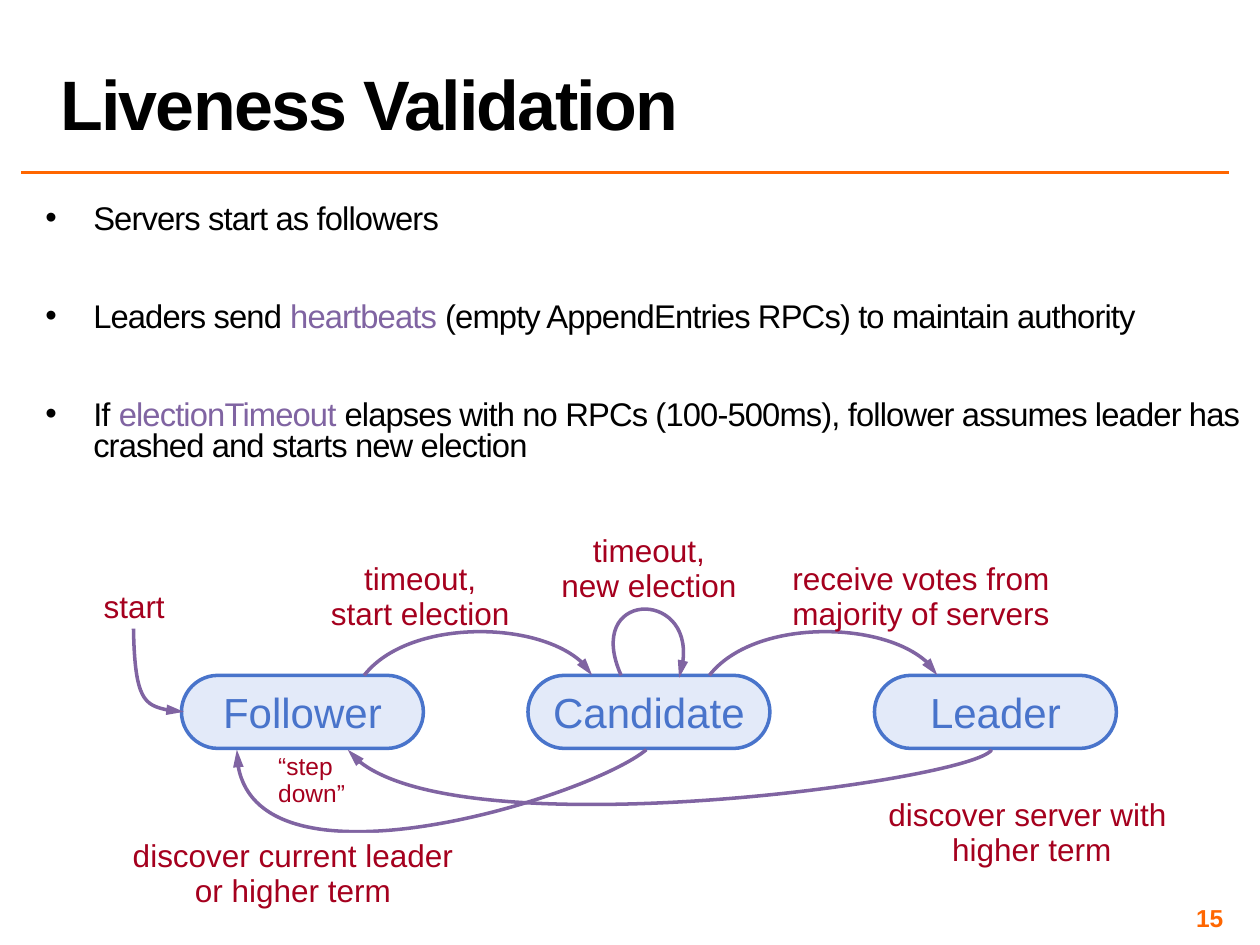
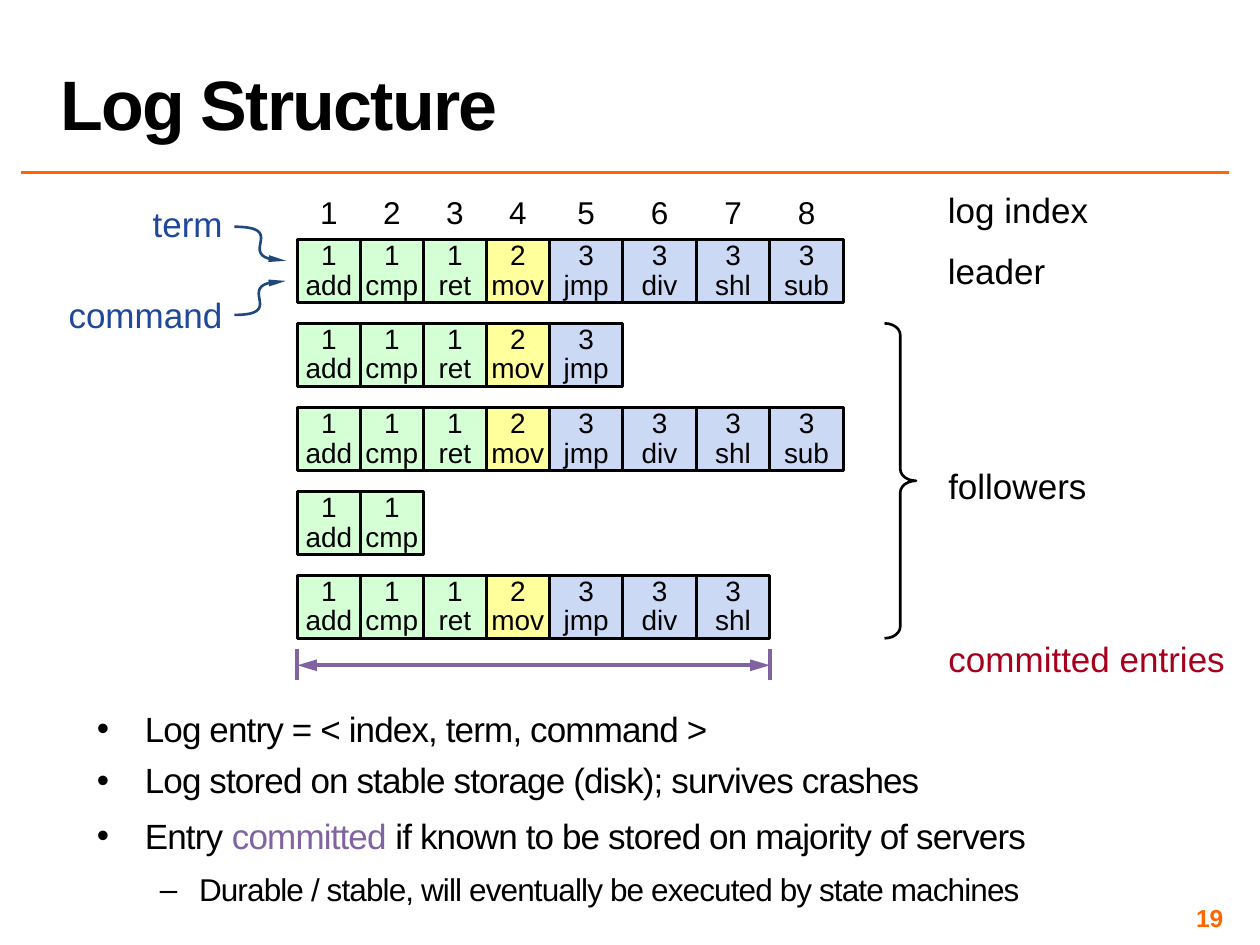
from itertools import accumulate

from lxml import etree
from pptx import Presentation
from pptx.dml.color import RGBColor
from pptx.enum.shapes import MSO_CONNECTOR, MSO_SHAPE
from pptx.enum.text import MSO_ANCHOR, MSO_AUTO_SIZE, PP_ALIGN
from pptx.oxml.ns import qn
from pptx.util import Inches, Pt

LEFT, CENTER, RIGHT = PP_ALIGN.LEFT, PP_ALIGN.CENTER, PP_ALIGN.RIGHT
MIDDLE, BOTTOM = MSO_ANCHOR.MIDDLE, MSO_ANCHOR.BOTTOM
FIT_TEXT = MSO_AUTO_SIZE.SHAPE_TO_FIT_TEXT
STRAIGHT = MSO_CONNECTOR.STRAIGHT
RECTANGLE = MSO_SHAPE.RECTANGLE
ROUNDED = MSO_SHAPE.ROUNDED_RECTANGLE
RIGHT_BRACE = MSO_SHAPE.RIGHT_BRACE

FONT = "Arial"
BLACK = RGBColor(0x00, 0x00, 0x00)
WHITE = RGBColor(0xFF, 0xFF, 0xFF)
ORANGE = RGBColor(0xFF, 0x66, 0x00)
PURPLE = RGBColor(0x80, 0x64, 0xA2)
CRIMSON = RGBColor(0xA5, 0x00, 0x1E)
STATE_BLUE = RGBColor(0x49, 0x74, 0xCB)
STATE_FILL = RGBColor(0xE3, 0xEA, 0xF9)
KEY_BLUE = RGBColor(0x1F, 0x48, 0x99)
KEY_ARROW = RGBColor(0x1F, 0x49, 0x7D)
TERM_FILLS = {
    1: RGBColor(0xD5, 0xFF, 0xD5),
    2: RGBColor(0xFF, 0xFF, 0x9B),
    3: RGBColor(0xCC, 0xD9, 0xF4),
}

STATE_WIDTH, STATE_HEIGHT, STATE_PITCH = 1.92, 0.58, 2.75
ENTRIES = [(1, "add"), (1, "cmp"), (1, "ret"), (2, "mov"),
           (3, "jmp"), (3, "div"), (3, "shl"), (3, "sub")]
ENTRY_WIDTHS = {1: 1 / 2, 2: 1 / 2, 3: 7 / 12}
LOG_LENGTHS = [8, 5, 8, 2, 7]
COMMITTED = 7
ENTRY_HEIGHT, LOG_PITCH = 0.5, 2 / 3


def format_run(run, size, color, bold=False, tracking=0):
    font = run.font
    font.name, font.size, font.bold = FONT, Pt(size), bold
    font.color.rgb = color
    if tracking:
        run._r.get_or_add_rPr().set("spc", str(int(tracking * 100)))


def set_insets(frame, inset):
    frame.margin_left = frame.margin_right = Inches(inset)
    frame.margin_top = frame.margin_bottom = Inches(inset)


def write(shape, text, size, color, align=CENTER, spacing=None, inset=None,
          anchor=None, **run_style):
    """Fill a shape with one paragraph; a newline becomes a line break."""
    frame = shape.text_frame
    if inset is not None:
        set_insets(frame, inset)
    if anchor is not None:
        frame.vertical_anchor = anchor
    para = frame.paragraphs[0]
    para.text = text
    para.alignment = align
    para.line_spacing = spacing
    for run in para.runs:
        format_run(run, size, color, **run_style)


def add_box(slide, left, top, width, height):
    box = slide.shapes.add_textbox(*map(Inches, (left, top, width, height)))
    box.text_frame.word_wrap = True
    return box


def write_label(shape, text, size, color, **style):
    """Write text without wrapping, in a shape that hugs it."""
    shape.text_frame.word_wrap = False
    shape.text_frame.auto_size = FIT_TEXT
    write(shape, text, size, color, **style)


def add_preset(slide, kind, left, top, width, height, fill, line, line_width=0):
    shape = slide.shapes.add_shape(
        kind, *map(Inches, (left, top, width, height)))
    shape.shadow.inherit = False
    if fill is None:
        shape.fill.background()
    else:
        shape.fill.solid()
        shape.fill.fore_color.rgb = fill
    if line is None:
        shape.line.fill.background()
    else:
        shape.line.color.rgb = line
        shape.line.width = Pt(line_width)
    return shape


def add_arrowheads(shape, *ends, breadth="med"):
    outline = shape._element.spPr.find(qn("a:ln"))
    for end in ends:
        etree.SubElement(outline, qn(f"a:{end}"), type="triangle", w=breadth, len="lg")


def add_line(slide, start, end, color, width):
    line = slide.shapes.add_connector(STRAIGHT, *map(Inches, (*start, *end)))
    line.line.color.rgb = color
    line.line.width = Pt(width)
    etree.SubElement(line._element.spPr, qn("a:effectLst"))
    return line


def bezier_extent(values, steps=100):
    """Return the least and greatest value of a cubic Bézier along one axis."""
    a, b, c, d = values
    samples = [a * (1 - t) ** 3 + 3 * b * t * (1 - t) ** 2
               + 3 * c * t ** 2 * (1 - t) + d * t ** 3
               for t in (step / steps for step in range(steps + 1))]
    return min(samples), max(samples)


def add_curved_arrow(slide, left, top, controls, color, width, breadth="med"):
    """Draw a cubic Bézier curve, its control points relative to left and top."""
    (x_min, x_max), (y_min, y_max) = map(bezier_extent, zip(*controls))
    builder = slide.shapes.build_freeform(Inches(left + x_min), Inches(top + y_min))
    builder.add_line_segments([(Inches(left + x_max), Inches(top + y_max))], close=False)
    curve = builder.convert_to_shape()
    outline = next(curve._element.iter(qn("a:path")))
    for segment in list(outline):
        outline.remove(segment)
    start = etree.SubElement(outline, qn("a:moveTo"))
    bend = etree.SubElement(outline, qn("a:cubicBezTo"))
    for parent, (x, y) in zip((start, bend, bend, bend), controls):
        etree.SubElement(parent, qn("a:pt"), x=str(Inches(x - x_min)),
                         y=str(Inches(y - y_min)))
    curve.shadow.inherit = False
    curve.fill.background()
    curve.line.color.rgb = color
    curve.line.width = Pt(width)
    add_arrowheads(curve, "tailEnd", breadth=breadth)


def add_bullet(para, text, size, mark, margin, hang, spacing, before, after):
    """Write a bulleted paragraph; text between bars is set in the accent colour."""
    properties = para._p.get_or_add_pPr()
    properties.set("marL", str(Inches(margin)))
    properties.set("indent", str(-Inches(hang)))
    etree.SubElement(properties, qn("a:buFont"), typeface=FONT)
    etree.SubElement(properties, qn("a:buChar"), char=mark)
    para.line_spacing = spacing
    para.space_before, para.space_after = Pt(before), Pt(after)
    for index, part in enumerate(text.split("|")):
        run = para.add_run()
        run.text = part
        format_run(run, size, PURPLE if index % 2 else BLACK, tracking=-0.5)


def add_bullets(slide, left, top, width, height, bullets):
    frame = add_box(slide, left, top, width, height).text_frame
    set_insets(frame, 0.04)
    for index, (text, style) in enumerate(bullets):
        para = frame.add_paragraph() if index else frame.paragraphs[0]
        add_bullet(para, text, **style)
    frame.paragraphs[0].space_before = Pt(0)


def add_page(deck, title, number):
    """Add a slide with the shared title, orange rule and page number."""
    slide = deck.slides.add_slide(deck.slide_layouts[6])
    add_line(slide, (0.17, 1.37), (9.75, 1.37), ORANGE, 2)
    write(add_box(slide, 0.38, 0.02, 9.37, 1.17), title, 40, BLACK, align=LEFT,
          spacing=0.8, anchor=BOTTOM, bold=True, tracking=-1)
    write(add_box(slide, 7.42, 7.17, 2.33, 0.23), str(number), 14, ORANGE,
          align=RIGHT, inset=0.04, anchor=MIDDLE, bold=True)
    return slide


def add_state_diagram(slide, left, top):
    """Draw the server states; left and top are the corner of the first state."""
    for index, name in enumerate(["Follower", "Candidate", "Leader"]):
        state = add_preset(slide, ROUNDED, left + index * STATE_PITCH, top,
                           STATE_WIDTH, STATE_HEIGHT, STATE_FILL, STATE_BLUE, 2)
        state.adjustments[0] = 0.5
        write(state, name, 24, STATE_BLUE, anchor=MIDDLE)

    promotion = [(1.45, 0), (1.8, -0.45), (3.02, -0.44), (3.26, 0)]
    transitions = [
        [(-0.38, -0.37), (-0.37, 0.2), (-0.25, 0.28), (0.02, 0.29)],
        promotion,
        [(x + 2.74, y) for x, y in promotion],
        [(3.49, 0), (3.19, -0.67), (4.18, -0.7), (3.95, 0.02)],
        [(3.69, 0.59), (3.25, 0.96), (0.43, 1.84), (0.44, 0.59)],
        [(6.43, 0.59), (6.3, 0.83), (1.95, 1.43), (1.32, 0.59)],
    ]
    for controls in transitions:
        add_curved_arrow(slide, left, top, controls, PURPLE, 2)

    write_label(add_box(slide, left - 0.72, top - 0.75, 0.69, 0.4), "start", 18, CRIMSON)
    causes = [
        (1.08, -0.95, 1.63, "timeout,\nstart election"),
        (4.74, -0.95, 2.26, "receive votes from\nmajority of servers"),
        (2.91, -1.17, 1.6, "timeout,\nnew election"),
        (5.5, 0.92, 2.43, "discover server with\n higher term"),
    ]
    for x, y, width, text in causes:
        write_label(add_box(slide, left + x, top + y, width, 0.66), text, 18, CRIMSON,
                    spacing=Pt(20))
    demotion = add_preset(slide, RECTANGLE, left - 0.5, top + 1.25, 2.77, 0.66,
                          WHITE, None)
    write_label(demotion, "discover current leader\nor higher term", 18, CRIMSON,
                spacing=Pt(20), anchor=MSO_ANCHOR.TOP)
    write_label(add_box(slide, left + 0.67, top + 0.58, 0.73, 0.52), "“step\ndown”", 14,
                CRIMSON, align=LEFT, spacing=Pt(15))


def add_logs(slide, left, top):
    """Draw the leader's log and the followers' logs below their index row."""
    widths = [ENTRY_WIDTHS[term] for term, _ in ENTRIES]
    edges = list(accumulate(widths, initial=left))
    for index, width in enumerate(widths):
        number = add_box(slide, edges[index], top - 0.42, width, 0.4)
        write(number, str(index + 1), 18, BLACK)
    for row, length in enumerate(LOG_LENGTHS):
        for index, (term, command) in enumerate(ENTRIES[:length]):
            entry = add_preset(slide, RECTANGLE, edges[index], top + row * LOG_PITCH,
                               widths[index], ENTRY_HEIGHT, TERM_FILLS[term], BLACK, 1.5)
            write(entry, f"{term}\n{command}", 16, BLACK, spacing=Pt(17),
                  inset=0, anchor=MIDDLE)

    first, last, axis = left, edges[COMMITTED], top + 3.38
    for x in (first, last):
        add_line(slide, (x, axis - 0.13), (x, axis + 0.12), PURPLE, 2.25)
    extent = add_line(slide, (first, axis), (last, axis), PURPLE, 2.25)
    add_arrowheads(extent, "headEnd", "tailEnd")


def add_log_notes(slide, left, top):
    """Name the logs and entry parts; left and top are the corner of the logs."""
    brace = add_preset(slide, RIGHT_BRACE, left + 4.66, top + LOG_PITCH, 0.25, 2.5,
                       None, BLACK, 1.5)
    brace.adjustments[0] = 0.372
    notes = [
        (5.16, -0.4, 1.12, "log index", BLACK),
        (5.16, 0.08, 0.78, "leader", BLACK),
        (5.16, 1.79, 1.11, "followers", BLACK),
        (5.16, 3.16, 2.21, "committed entries", CRIMSON),
        (-1.15, -0.29, 0.56, "term", KEY_BLUE),
        (-1.82, 0.43, 1.23, "command", KEY_BLUE),
    ]
    for x, y, width, text, color in notes:
        write_label(add_box(slide, left + x, top + y, width, 0.34), text, 20, color,
                    inset=0)
    pointers = [
        [(-0.5, -0.1), (-0.1, -0.1), (-0.53, 0.16), (-0.09, 0.17)],
        [(-0.5, 0.6), (-0.11, 0.6), (-0.54, 0.34), (-0.09, 0.33)],
    ]
    for controls in pointers:
        add_curved_arrow(slide, left, top, controls, KEY_ARROW, 1.5, breadth="sm")


def build_liveness_slide(deck):
    slide = add_page(deck, "Liveness Validation", 15)
    point = dict(size=18.7, mark="•", margin=0.38, hang=0.38, spacing=0.8,
                 before=30, after=8)
    add_bullets(slide, 0.32, 1.59, 9.68, 2.53, [
        ("Servers start as followers", point),
        ("Leaders send |heartbeats| (empty AppendEntries RPCs) to maintain authority",
         point),
        ("If |electionTimeout |elapses with no RPCs (100-500ms), follower assumes "
         "leader has crashed and starts new election", point),
    ])
    add_state_diagram(slide, 1.44, 5.36)


def build_log_slide(deck):
    slide = add_page(deck, "Log Structure", 19)
    point = dict(size=20, mark="•", margin=0.38, hang=0.38, spacing=0.9,
                 before=4, after=4)
    conclusion = {**point, "before": 6, "after": 8}
    detail = dict(size=18, mark="–", margin=0.81, hang=0.31, spacing=0.85,
                  before=3, after=8)
    add_bullets(slide, 0.73, 5.61, 9, 1.73, [
        ("Log entry = < index, term, command >", point),
        ("Log stored on stable storage (disk); survives crashes", point),
        ("Entry |committed| if known to be stored on majority of servers", conclusion),
        ("Durable / stable, will eventually be executed by state machines", detail),
    ])
    add_logs(slide, 2.36, 1.9)
    add_log_notes(slide, 2.36, 1.9)


def main():
    deck = Presentation()
    deck.slide_width, deck.slide_height = Inches(10), Inches(7.5)
    build_liveness_slide(deck)
    build_log_slide(deck)
    deck.save("out.pptx")


if __name__ == "__main__":
    main()
